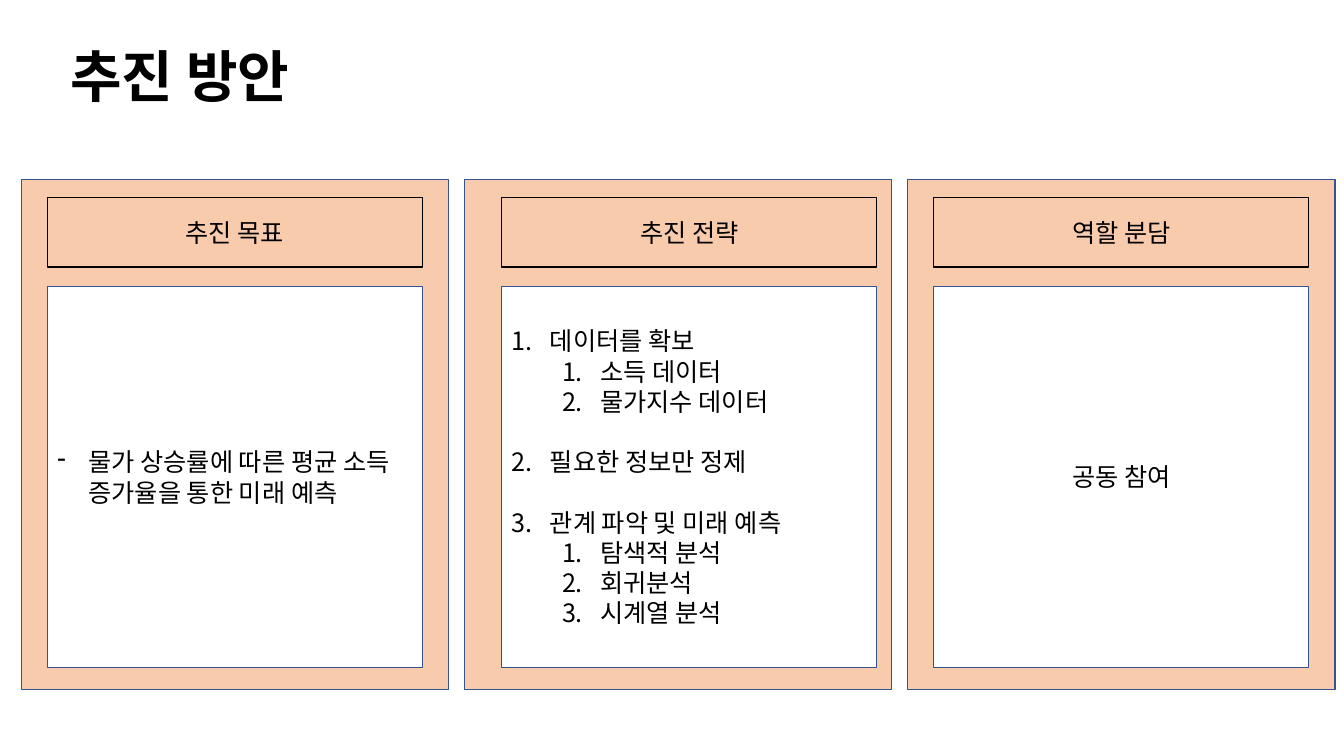
from dataclasses import dataclass

from lxml.etree import SubElement
from pptx import Presentation
from pptx.dml.color import RGBColor
from pptx.enum.shapes import MSO_SHAPE as Preset
from pptx.enum.text import MSO_ANCHOR as Anchor, MSO_AUTO_SIZE as AutoSize, PP_ALIGN as Align
from pptx.oxml.ns import qn
from pptx.shapes.autoshape import Shape
from pptx.util import Inches, Pt

FONT = "Noto Sans CJK KR"
BLACK = RGBColor(0x00, 0x00, 0x00)
WHITE = RGBColor(0xFF, 0xFF, 0xFF)
PEACH = RGBColor(0xF8, 0xCB, 0xAD)
NAVY = RGBColor(0x32, 0x54, 0x91)

SLIDE_WIDTH, SLIDE_HEIGHT = Inches(13.33), Inches(7.5)
LINE_PITCH = Pt(21.6)
FIRST_LEFT, PANEL_PITCH, PANEL_WIDTH = 1.58, 32.97, 31.8
BOX_WIDTH = 27.91


@dataclass(frozen=True)
class Band:
    """Vertical extent in percent of the slide height."""
    top: float
    height: float


TITLE_BAND = Band(4.8, 10.27)
PANEL_BAND = Band(23.73, 67.47)
HEADING_BAND = Band(26.13, 9.2)
BODY_BAND = Band(37.87, 50.4)


@dataclass(frozen=True)
class Item:
    """One body paragraph; an empty bullet means centred text."""
    text: str
    bullet: str = ""
    level: int = 0
    gap: bool = False


@dataclass(frozen=True)
class Panel:
    """A column with its heading, its body and the inset of both boxes."""
    heading: str
    items: tuple[Item, ...]
    inset: float = 1.95


PANELS = (
    Panel("추진 목표", (Item("물가 상승률에 따른 평균 소득 증가율을 통한 미래 예측", "-"),)),
    Panel("추진 전략", (
        Item("데이터를 확보", "1."),
        Item("소득 데이터", "1.", 1),
        Item("물가지수 데이터", "1.", 1),
        Item("필요한 정보만 정제", "1.", gap=True),
        Item("관계 파악 및 미래 예측", "1.", gap=True),
        Item("탐색적 분석", "1.", 1),
        Item("회귀분석", "1.", 1),
        Item("시계열 분석", "1.", 1),
    ), inset=2.78),
    Panel("역할 분담", (Item("공동 참여"),)),
)


def place(shape, left: float, band: Band, width: float) -> None:
    """Position a shape by percentages of the slide."""
    shape.left, shape.width = (int(SLIDE_WIDTH * part / 100) for part in (left, width))
    shape.top, shape.height = (int(SLIDE_HEIGHT * part / 100) for part in (band.top, band.height))


def style_run(run, size: float, bold: bool = False) -> None:
    """Apply the slide's font to Latin and Korean text."""
    run.font.name, run.font.size, run.font.bold = FONT, Pt(size), bold
    run.font.color.rgb = BLACK
    SubElement(run.font._element, qn("a:ea")).set("typeface", FONT)


def set_bullet(paragraph, item: Item) -> None:
    """Give a paragraph a dash or automatic number with a hanging indent."""
    hang = Inches(0.31 if item.bullet == "-" else 0.38)
    properties = paragraph._p.get_or_add_pPr()
    properties.set("marL", str(hang + item.level * Inches(0.5)))
    properties.set("indent", str(-hang))
    if item.bullet == "-":
        SubElement(properties, qn("a:buFontTx"))
        SubElement(properties, qn("a:buChar")).set("char", item.bullet)
    else:
        SubElement(properties, qn("a:buFont")).set("typeface", "+mj-lt")
        SubElement(properties, qn("a:buAutoNum")).set("type", "arabicPeriod")


def write_items(box: Shape, items: tuple[Item, ...]) -> None:
    """Write the items as vertically centred paragraphs."""
    frame = box.text_frame
    frame.word_wrap, frame.vertical_anchor = True, Anchor.MIDDLE
    frame.text = "\n".join(item.text for item in items)
    for paragraph, item in zip(frame.paragraphs, items):
        paragraph.level = item.level
        paragraph.alignment = Align.LEFT if item.bullet else Align.CENTER
        paragraph.line_spacing = LINE_PITCH
        paragraph.space_before = LINE_PITCH if item.gap else Pt(0)
        if item.bullet:
            set_bullet(paragraph, item)
        style_run(paragraph.runs[0], 18)


def add_box(slide, left: float, band: Band, width: float,
            fill: RGBColor | None, line: RGBColor) -> Shape:
    """Add an outlined rectangle."""
    box = slide.shapes.add_shape(Preset.RECTANGLE, 0, 0, 0, 0)
    place(box, left, band, width)
    box.shadow.inherit = False
    if fill is None:
        box.fill.background()
    else:
        box.fill.solid()
        box.fill.fore_color.rgb = fill
    box.line.color.rgb, box.line.width = line, Pt(1)
    return box


def add_panel(slide, column: int, panel: Panel) -> None:
    """Draw one column with its heading and body."""
    left = FIRST_LEFT + column * PANEL_PITCH
    add_box(slide, left, PANEL_BAND, PANEL_WIDTH, PEACH, NAVY)
    heading = add_box(slide, left + panel.inset, HEADING_BAND, BOX_WIDTH, None, BLACK)
    write_items(heading, (Item(panel.heading),))
    body = add_box(slide, left + panel.inset, BODY_BAND, BOX_WIDTH, WHITE, NAVY)
    write_items(body, panel.items)


def add_title(slide, text: str) -> None:
    """Fill and format the title placeholder."""
    title = slide.shapes.title
    place(title, 4.5, TITLE_BAND, 73.22)
    frame = title.text_frame
    frame.text = text
    frame.auto_size, frame.vertical_anchor = AutoSize.NONE, Anchor.MIDDLE
    frame.paragraphs[0].alignment = Align.LEFT
    style_run(frame.paragraphs[0].runs[0], 40, bold=True)


def main() -> None:
    """Build and save the slide."""
    deck = Presentation()
    deck.slide_width, deck.slide_height = SLIDE_WIDTH, SLIDE_HEIGHT
    slide = deck.slides.add_slide(deck.slide_layouts[5])
    add_title(slide, "추진 방안")
    for column, panel in enumerate(PANELS):
        add_panel(slide, column, panel)
    deck.save("out.pptx")


if __name__ == "__main__":
    main()
